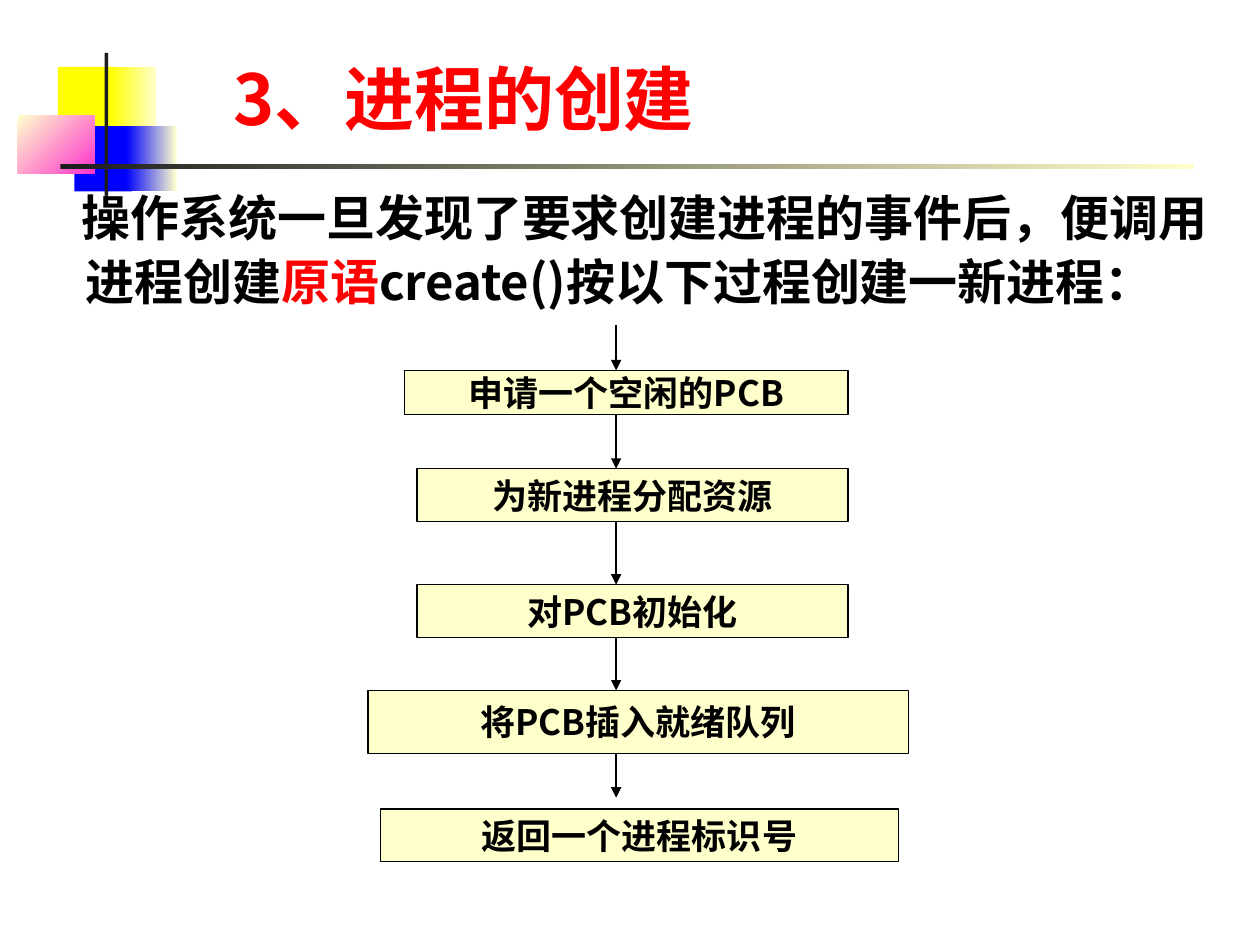
"""Build the slide on process creation: a title, an introduction and a five-step flow."""
from lxml.etree import SubElement
from pptx import Presentation
from pptx.dml.color import RGBColor as Color
from pptx.enum.shapes import MSO_CONNECTOR as Connector, MSO_SHAPE as Preset
from pptx.enum.text import MSO_ANCHOR as Anchor, MSO_AUTO_SIZE as AutoSize, PP_ALIGN as Align
from pptx.oxml.ns import qn
from pptx.util import Inches, Pt

THEME = {
    "font": "Noto Sans CJK SC",
    "title": 40, "body": 28, "step": 20, "line": 0.75,
    "black": "000000", "red": "FF0000", "cream": "FFFFCC", "yellow": "FFFF00",
    "blue": "0000FF", "pink": "FF33CC", "ink": "1C1C1C",
}

presentation = Presentation()
presentation.slide_width, presentation.slide_height = Inches(10), Inches(7.5)
column = presentation.slide_width / 100
row = presentation.slide_height / 75
slide = presentation.slides.add_slide(presentation.slide_layouts[5])


def add_block(preset, left, top, width, height, colors, angle=0):
    """Add a borderless shape placed in grid cells, with a plain or gradient fill."""
    shape = slide.shapes.add_shape(preset, int(left * column), int(top * row),
                                   int(width * column), int(height * row))
    shape.shadow.inherit = False
    shape.line.fill.background()
    if len(colors) == 1:
        shape.fill.solid()
        shape.fill.fore_color.rgb = Color.from_string(THEME[colors[0]])
    else:
        shape.fill.gradient()
        shape.fill.gradient_angle = angle
        for stop, position, color in zip(shape.fill.gradient_stops, (0, 1), colors):
            stop.position = position
            stop.color.rgb = Color.from_string(THEME[color])
    return shape


def add_run(paragraph, text, size, color):
    """Add a bold run in the theme font."""
    run = paragraph.add_run()
    run.text = text
    run.font.size, run.font.bold, run.font.name = Pt(THEME[size]), True, THEME["font"]
    run.font.color.rgb = Color.from_string(THEME[color])
    SubElement(run.font._element, qn("a:ea"), typeface=THEME["font"])


for left, top, width, height, colors, angle in [
    (4.6, 5.3, 4.8, 5.2, ["yellow"], 0),
    (8.8, 5.3, 3.6, 5.2, ["yellow", "cream"], 0),
    (5.9, 10, 4.6, 5.2, ["blue"], 0),
    (10, 10, 4, 5.2, ["blue", "cream"], 0),
    (1.4, 9.2, 6.1, 4.6, ["cream", "pink"], 315),
    (8.3, 4.2, 0.3, 11.5, ["ink"], 0),
    (4.8, 13, 90, 0.4, ["ink", "cream"], 0),
]:
    add_block(Preset.RECTANGLE, left, top, width, height, colors, angle)

title = slide.shapes.title
title.left, title.top = int(17.5 * column), int(3.6 * row)
title.width, title.height = int(64 * column), int(8 * row)
title.text_frame.vertical_anchor = Anchor.BOTTOM
title.text_frame.auto_size = AutoSize.NONE
heading = title.text_frame.paragraphs[0]
heading.alignment = Align.LEFT
add_run(heading, "3、进程的创建", "title", "red")

body = slide.shapes.add_textbox(int(2 * column), int(13.9 * row), int(96.1 * column), int(11.8 * row))
body.text_frame.word_wrap = True
introduction = body.text_frame.paragraphs[0]
introduction.line_spacing = 1.1
properties = introduction._p.get_or_add_pPr()
properties.set("marL", str(int(3.8 * column)))
properties.set("indent", str(int(-0.3 * column)))
for text, color in [
    ("操作系统一旦发现了要求创建进程的事件后，便调用进程创建", "black"),
    ("原语", "red"),
    ("create()按以下过程创建一新进程：", "black"),
]:
    add_run(introduction, text, "body", color)

for text, preset, left, top, width, height in [
    ("申请一个空闲的PCB", Preset.FLOWCHART_PROCESS, 32.1, 29.4, 35.2, 3.5),
    ("为新进程分配资源", Preset.FLOWCHART_PROCESS, 33.1, 37.2, 34.2, 4.2),
    ("对PCB初始化", Preset.FLOWCHART_PROCESS, 33.1, 46.4, 34.2, 4.2),
    ("将PCB插入就绪队列", Preset.FLOWCHART_PROCESS, 29.2, 54.8, 42.9, 5),
    ("返回一个进程标识号", Preset.RECTANGLE, 30.2, 64.2, 41.1, 4.2),
]:
    step = add_block(preset, left, top, width, height, ["cream"])
    step.line.color.rgb = Color.from_string(THEME["black"])
    step.line.width = Pt(THEME["line"])
    step.text_frame.word_wrap = False
    step.text_frame.vertical_anchor = Anchor.MIDDLE
    label = step.text_frame.paragraphs[0]
    label.alignment = Align.CENTER
    add_run(label, text, "step", "black")

for start, end in [(25.8, 29.4), (32.9, 37.2), (41.4, 46.4), (50.6, 54.8), (59.8, 63.3)]:
    arrow = slide.shapes.add_connector(Connector.STRAIGHT, int(48.9 * column), int(start * row),
                                       int(48.9 * column), int(end * row))
    arrow.line.color.rgb = Color.from_string(THEME["black"])
    arrow.line.width = Pt(THEME["line"])
    SubElement(arrow.line._get_or_add_ln(), qn("a:tailEnd"), type="triangle")
    SubElement(arrow._element.spPr, qn("a:effectLst"))

presentation.save("out.pptx")
